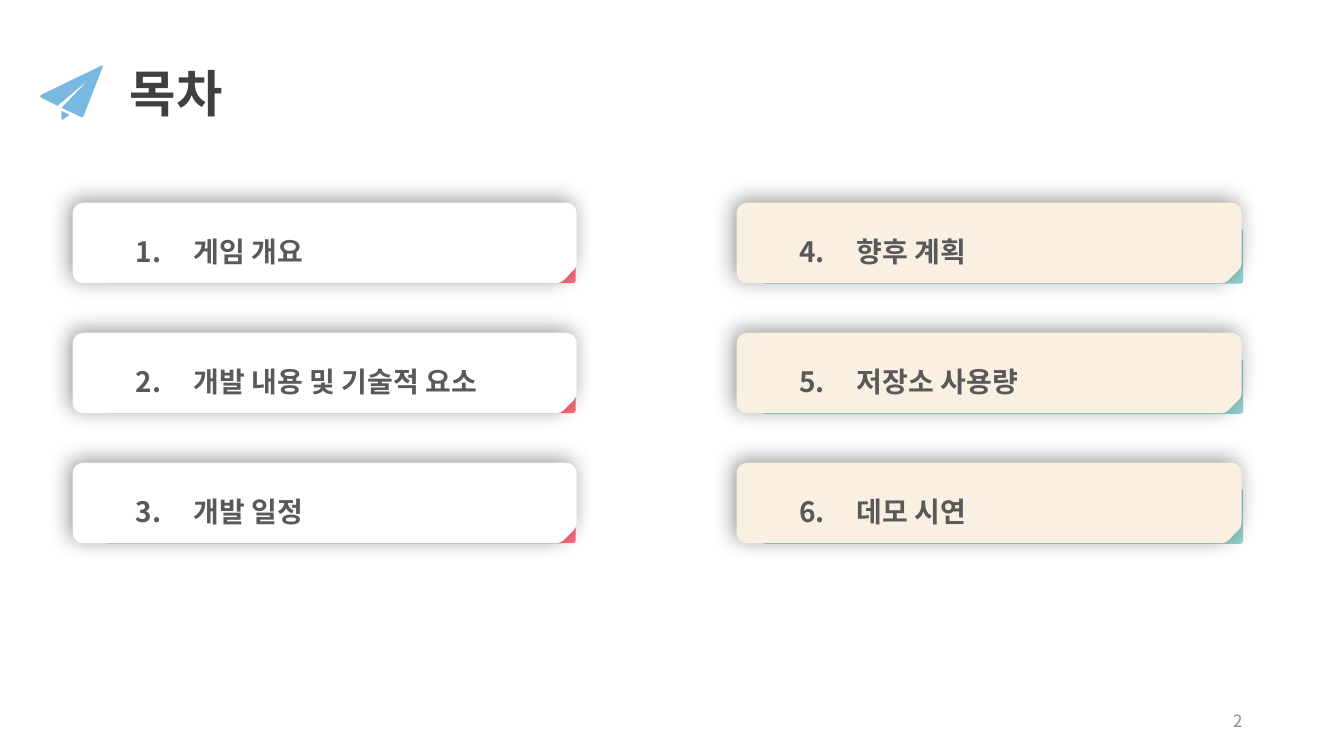
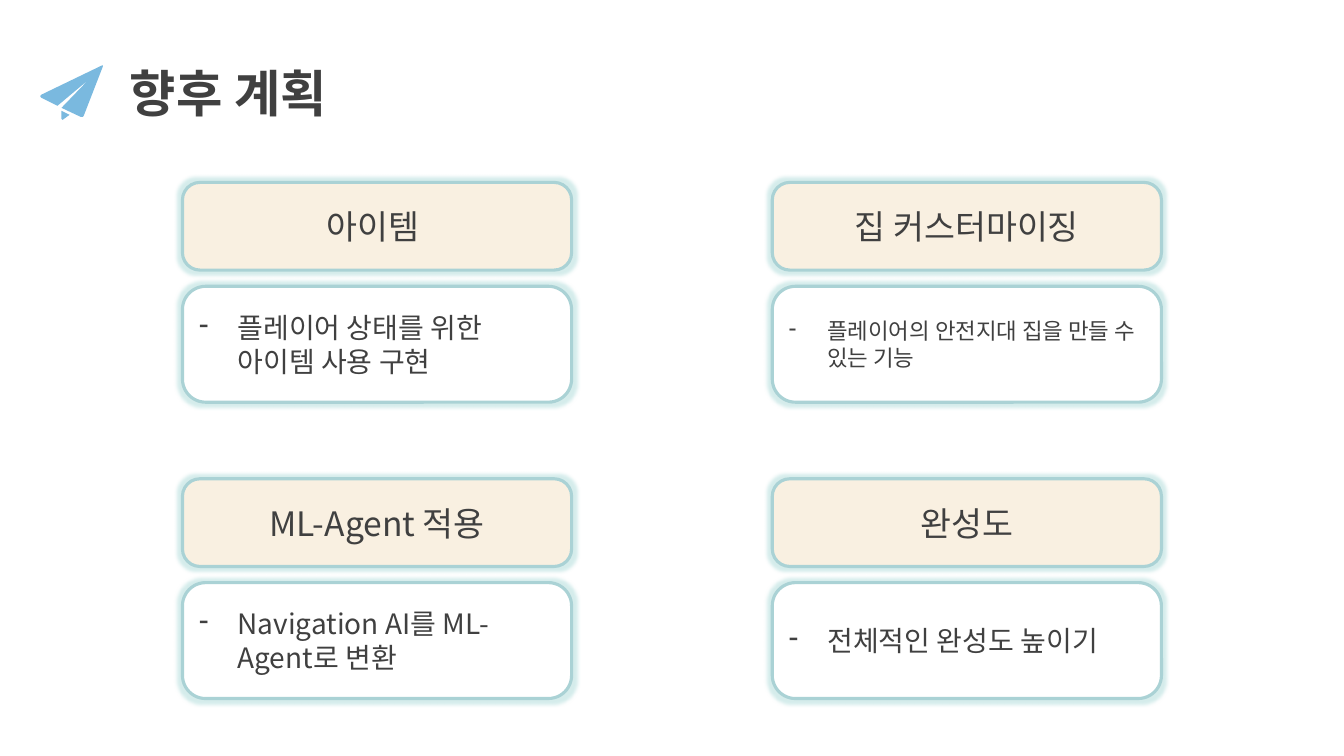
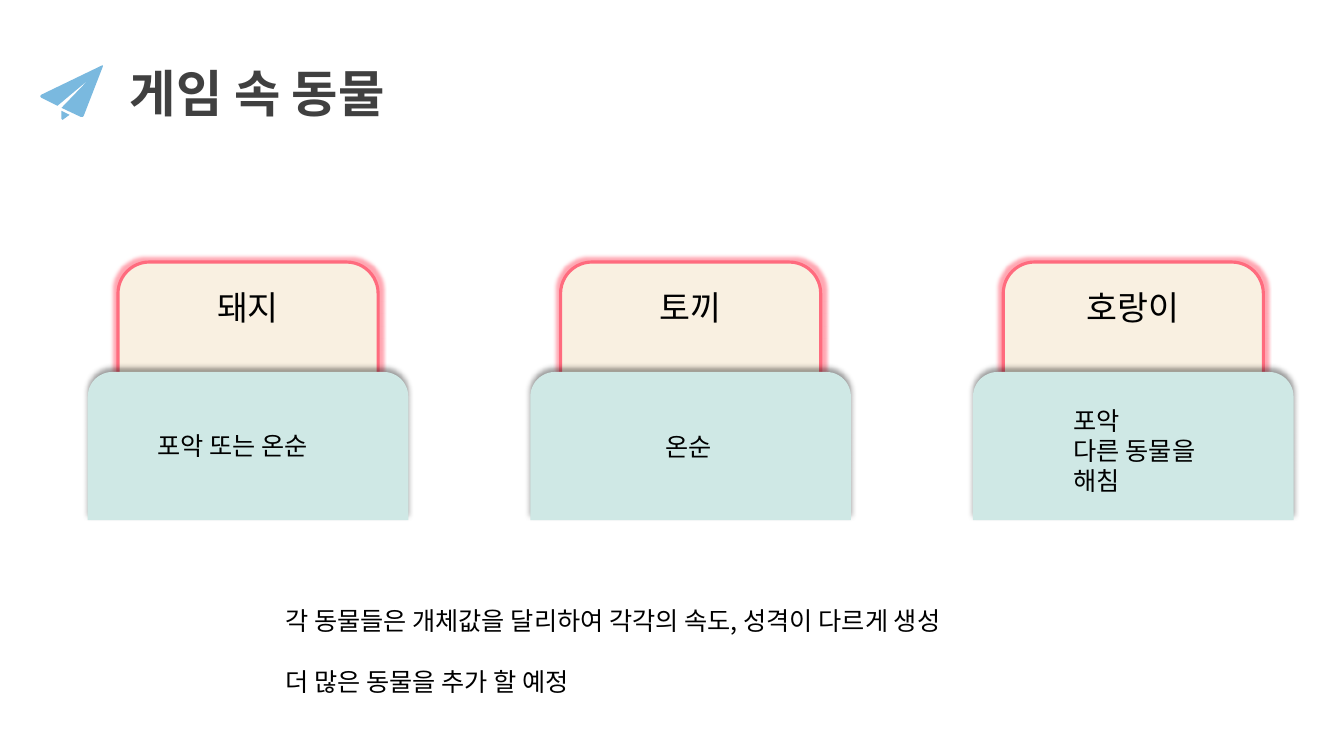
"""Build three slides of a game project talk: contents, future plans and animals."""
from lxml import etree
from pptx import Presentation
from pptx.dml.color import RGBColor
from pptx.enum import shapes, text
from pptx.oxml import ns
from pptx.util import Inches, Pt

FONT = "Noto Sans CJK KR"
COLORS = {
    "plane": "7AB9DF", "title": "404040", "item": "595959", "number": "8C8C8C",
    "white": "FFFFFF", "cream": "F9F0E1", "red": "FF6B7E", "teal": "96D1CF",
    "border": "AAD2D5", "mint": "CFE8E5", "black": "000000",
}
KINDS = shapes.MSO_SHAPE
ALIGN = text.PP_ALIGN
MIDDLE = text.MSO_ANCHOR.MIDDLE

PLANE = [
    [(61, 110), (69, 114), (62, 119), (61, 118)],
    [(101, 65), (102, 65), (102, 66), (83, 115), (82, 116), (80, 116), (61, 107),
     (88, 79), (57, 105), (41, 97), (40, 96), (40, 95), (41, 94)],
]

CONTENTS = [
    {"center": 3.22, "size": (4.79, 0.59), "fill": "white", "text_left": 1.25,
     "accent": "red", "accent_size": (4.68, 0.5), "offset": 0.15,
     "items": ["1.\t게임 개요", "2.\t개발 내용 및 기술적 요소", "3.\t개발 일정"]},
    {"center": 9.81, "size": (4.8, 0.59), "fill": "cream", "text_left": 7.83,
     "accent": "teal", "accent_size": (4.78, 0.55), "offset": 0.13,
     "items": ["4.\t향후 계획", "5.\t저장소 사용량", "6.\t데모 시연"]},
]
PLANS = [
    ("아이템 ", "플레이어 상태를 위한 아이템 사용 구현", 20),
    ("집 커스터마이징", "플레이어의 안전지대 집을 만들 수 있는 기능", 16),
    ("ML-Agent 적용", "Navigation AI를 ML-Agent로 변환", 20),
    ("완성도", "전체적인 완성도 높이기", 20),
]
ANIMALS = [
    ("돼지", ["포악 또는 온순"], (1.46, 4.22, 2, 0.4)),
    ("토끼", ["온순"], (6.5, 4.23, 0.71, 0.4)),
    ("호랑이", ["포악", "다른 동물을 해침"], (10.55, 3.97, 1.62, 1.01)),
]
ANIMAL_NOTES = ["각 동물들은 개체값을 달리하여 각각의 속도, 성격이 다르게 생성",
                "더 많은 동물을 추가 할 예정"]


def rgb(name):
    return RGBColor.from_string(COLORS[name])


def write(tf, lines, size=18, color="black", bold=False, align=ALIGN.LEFT,
          anchor=text.MSO_ANCHOR.TOP, wrap=True, spacing=None, gap=0,
          indent=0, bullet=None):
    tf.word_wrap = wrap
    tf.vertical_anchor = anchor
    for i, line in enumerate(lines):
        p = tf.paragraphs[0] if i == 0 else tf.add_paragraph()
        p.alignment = align
        p.line_spacing = spacing
        if i and gap:
            p.space_before = Pt(gap)
        props = p._p.get_or_add_pPr()
        if indent:
            props.set("marL", str(Inches(indent)))
            props.set("indent", str(-Inches(indent)))
        if bullet:
            etree.SubElement(props, ns.qn("a:buChar")).set("char", bullet)
        r = p.add_run()
        r.text = line
        r.font.size = Pt(size)
        r.font.bold = bold
        r.font.name = FONT
        r.font.color.rgb = rgb(color)
        etree.SubElement(r._r.get_or_add_rPr(), ns.qn("a:ea")).set("typeface", FONT)


def add_text(s, box, lines, **fmt):
    write(s.shapes.add_textbox(*map(Inches, box)).text_frame, lines, **fmt)


def paint(sp, fill, line=None, width=2.25):
    sp.shadow.inherit = False
    sp.fill.solid()
    sp.fill.fore_color.rgb = rgb(fill)
    if line:
        sp.line.color.rgb = rgb(line)
        sp.line.width = Pt(width)
        etree.SubElement(sp.line._get_or_add_ln(), ns.qn("a:round"))
    else:
        sp.line.fill.background()
    return sp


def add_box(s, kind, box, fill, line=None, width=2.25):
    return paint(s.shapes.add_shape(kind, *map(Inches, box)), fill, line, width)


def add_effect(sp, tag, color, alpha, **attrs):
    effects = sp._element.spPr.find(ns.qn("a:effectLst"))
    effect = etree.SubElement(effects, ns.qn(tag))
    for key, value in attrs.items():
        effect.set(key, str(value))
    clr = etree.SubElement(effect, ns.qn("a:srgbClr"))
    clr.set("val", COLORS[color])
    etree.SubElement(clr, ns.qn("a:alpha")).set("val", str(alpha * 1000))


def add_shadow(sp, blur, dist, angle):
    add_effect(sp, "a:outerShdw", "black", 40, blurRad=Pt(blur), dist=Pt(dist),
               dir=angle * 60000, algn="ctr", rotWithShape=0)


def add_slide(prs, title):
    s = prs.slides.add_slide(prs.slide_layouts[6])
    tail, wings = PLANE
    builder = s.shapes.build_freeform(*tail[0], scale=Inches(0.01))
    builder.add_line_segments(tail[1:])
    builder.move_to(*wings[0])
    builder.add_line_segments(wings[1:])
    paint(builder.convert_to_shape(), "plane")
    add_text(s, (1.19, 0.57, 3.08, 0.71), [title], size=36, color="title",
             bold=True, wrap=False)
    return s


def centered(x, y, w, h):
    return x - w / 2, y - h / 2, w, h


def build_contents(prs):
    s = add_slide(prs, "목차")
    for col in CONTENTS:
        x, shift = col["center"], col["offset"]
        for row, item in enumerate(col["items"]):
            y = 2.41 + 1.29 * row
            w, h = col["size"]
            accent = add_box(s, KINDS.ROUNDED_RECTANGLE,
                             centered(x + shift, y + shift, *col["accent_size"]),
                             col["accent"])
            accent.adjustments[0] = 0.06
            card = add_box(s, KINDS.SNIP_1_RECTANGLE, centered(x, y, h, w),
                           col["fill"], col["fill"], 15)
            card.rotation = 90
            add_shadow(card, 15, 4, 225)
            add_text(s, (col["text_left"], y - 0.3, 4.68, 0.56), [item], size=20,
                     color="item", bold=True, spacing=1.5, indent=0.57)
    add_text(s, (9.42, 6.95, 3, 0.4), ["2"], size=12, color="number",
             align=ALIGN.RIGHT, anchor=MIDDLE)


def build_plans(prs):
    s = add_slide(prs, "향후 계획")
    for i, (head, body, size) in enumerate(PLANS):
        x, y = 1.81 + 5.85 * (i % 2), 1.81 + 2.94 * (i // 2)
        parts = [
            (y + 1.03, 1.15, "white", body, {"size": size, "indent": 0.38, "bullet": "-"}),
            (y, 0.87, "cream", head, {"size": 24, "align": ALIGN.CENTER}),
        ]
        for top, height, fill, line, fmt in parts:
            sp = add_box(s, KINDS.ROUNDED_RECTANGLE, (x, top, 3.86, height), fill, "border")
            sp.adjustments[0] = 0.2
            add_effect(sp, "a:glow", "teal", 40, rad=Pt(5))
            write(sp.text_frame, [line], color="title", anchor=MIDDLE, **fmt)


def build_animals(prs):
    s = add_slide(prs, "게임 속 동물")
    for i, (name, traits, box) in enumerate(ANIMALS):
        x = 0.87 + 4.39 * i
        tab = add_box(s, KINDS.ROUND_2_SAME_RECTANGLE, (x + 0.3, 2.6, 2.58, 1.87),
                      "cream", "red")
        add_effect(tab, "a:glow", "red", 60, rad=Pt(5))
        tab.text_frame.margin_top = Inches(0.16)
        write(tab.text_frame, [name], size=24, align=ALIGN.CENTER)
        panel = add_box(s, KINDS.ROUND_2_SAME_RECTANGLE, (x, 3.69, 3.18, 1.47), "mint")
        add_shadow(panel, 4, 3, 270)
        add_text(s, box, traits)
    add_text(s, (2.73, 5.96, 9.38, 1.01), ANIMAL_NOTES, gap=21.5)


def main():
    prs = Presentation()
    prs.slide_width, prs.slide_height = Inches(13.33), Inches(7.5)
    for build in (build_contents, build_plans, build_animals):
        build(prs)
    prs.save("out.pptx")


if __name__ == "__main__":
    main()
